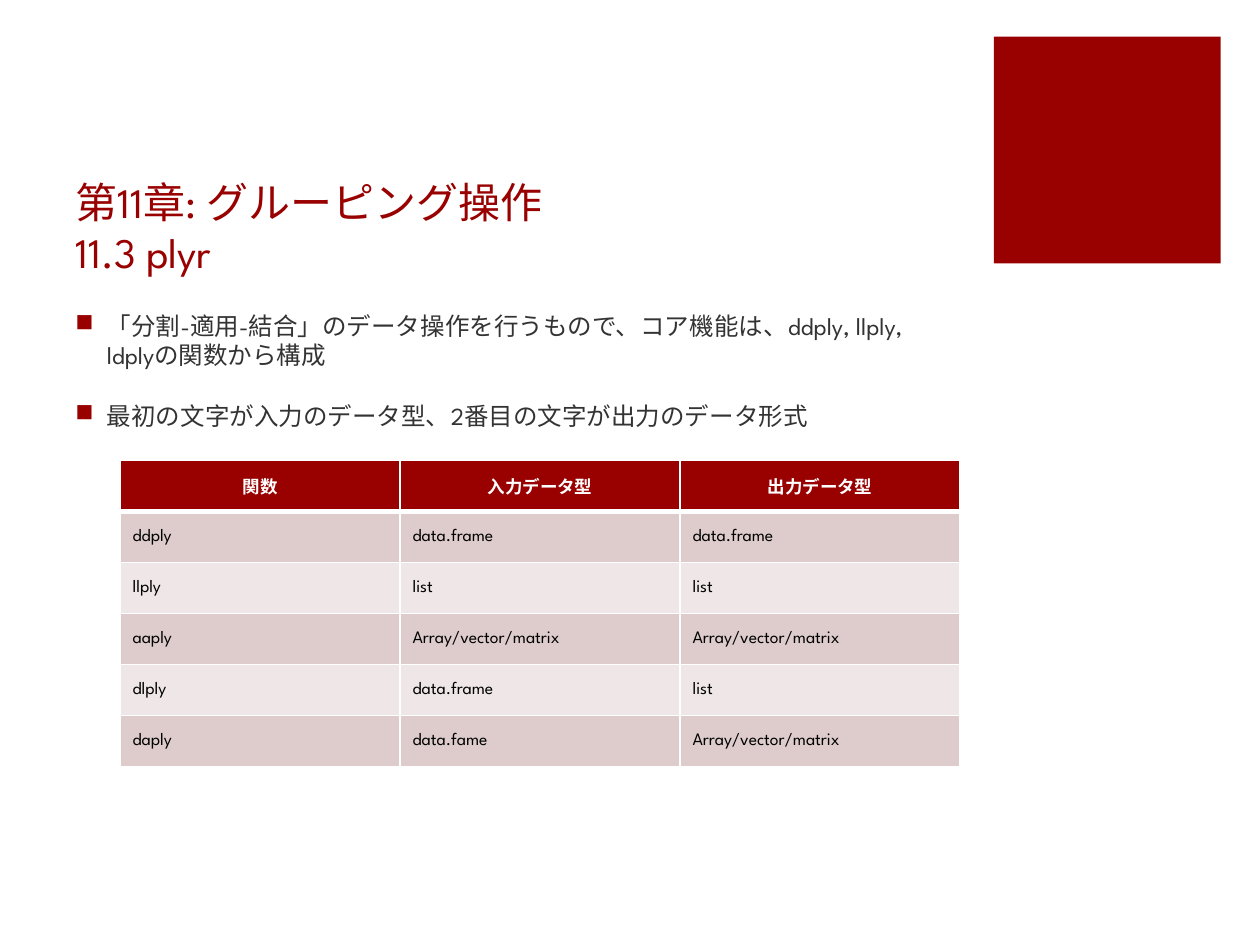
"""Build the plyr slide of the chapter on grouping operations."""
from lxml import etree
from pptx import Presentation
from pptx import util as u
from pptx.dml.color import RGBColor
from pptx.enum import shapes, text
from pptx.oxml import ns

Pt = u.Pt
COLORS = {"accent": "990000", "body": "333333", "black": "000000",
          "white": "FFFFFF", "odd": "DECCCC", "even": "EFE7E7"}
FONT = "League Spartan"


def write(paragraph, wording, size, color, bold=False, align=text.PP_ALIGN.LEFT):
    """Put formatted text into a paragraph."""
    paragraph.text = wording
    paragraph.alignment = align
    for run in paragraph.runs:
        run.font.name = FONT
        run.font.size = Pt(size)
        run.font.bold = bold
        run.font.color.rgb = RGBColor.from_string(COLORS[color])


def add_xml(parent, tag, **attributes):
    """Append a DrawingML element and return it."""
    return etree.SubElement(parent, ns.qn(tag), attributes)


deck = Presentation()
deck.slide_width, deck.slide_height = Pt(720), Pt(540)
slide = deck.slides.add_slide(deck.slide_layouts[5])

accent_square = slide.shapes.add_shape(
    shapes.MSO_SHAPE.RECTANGLE, Pt(568), Pt(21), Pt(129.6), Pt(129.6))
accent_square.shadow.inherit = False
accent_square.fill.solid()
accent_square.fill.fore_color.rgb = RGBColor.from_string(COLORS["accent"])
accent_square.line.fill.background()

heading = slide.shapes.title
heading.left, heading.top, heading.width, heading.height = Pt(36), Pt(72), Pt(513), Pt(90)
heading.text_frame.vertical_anchor = text.MSO_ANCHOR.BOTTOM
heading.text_frame.auto_size = text.MSO_AUTO_SIZE.NONE
write(heading.text_frame.paragraphs[0], "第11章: グルーピング操作\v11.3 plyr", 24, "accent")

points = [
    "「分割-適用-結合」のデータ操作を行うもので、コア機能は、ddply, llply, ldplyの関数から構成",
    "最初の文字が入力のデータ型、2番目の文字が出力のデータ形式",
]
summary = slide.shapes.add_textbox(Pt(36), Pt(174), Pt(513), Pt(308)).text_frame
summary.word_wrap = True
for index, wording in enumerate(points):
    point = summary.add_paragraph() if index else summary.paragraphs[0]
    write(point, wording, 14, "body")
    point.space_before = Pt(18)
    layout = point._p.get_or_add_pPr()
    layout.set("marL", str(Pt(18)))
    layout.set("indent", str(-Pt(18)))
    add_xml(add_xml(layout, "a:buClr"), "a:srgbClr", val=COLORS["accent"])
    add_xml(layout, "a:buChar", char="■")

functions = [
    ("関数", "入力データ型", "出力データ型"),
    ("ddply", "data.frame", "data.frame"),
    ("llply", "list", "list"),
    ("aaply", "Array/vector/matrix", "Array/vector/matrix"),
    ("dlply", "data.frame", "list"),
    ("daply", "data.fame", "Array/vector/matrix"),
]
grid = slide.shapes.add_table(
    len(functions), 3, Pt(68.6), Pt(263), Pt(480), Pt(175.2)).table
for row, entries in enumerate(functions):
    header = row == 0
    shade = "accent" if header else "odd" if row % 2 else "even"
    for column, entry in enumerate(entries):
        cell = grid.cell(row, column)
        cell.vertical_anchor = text.MSO_ANCHOR.MIDDLE
        write(cell.text_frame.paragraphs[0], entry, 10, "white" if header else "black",
              bold=header, align=text.PP_ALIGN.CENTER if header else text.PP_ALIGN.LEFT)
        borders = cell._tc.get_or_add_tcPr()
        for side in "LRTB":
            thick = (header and side == "B") or (row == 1 and side == "T")
            border = add_xml(borders, f"a:ln{side}", w=str(Pt(3 if thick else 1)))
            add_xml(add_xml(border, "a:solidFill"), "a:srgbClr", val=COLORS["white"])
        cell.fill.solid()
        cell.fill.fore_color.rgb = RGBColor.from_string(COLORS[shade])

deck.save("out.pptx")
